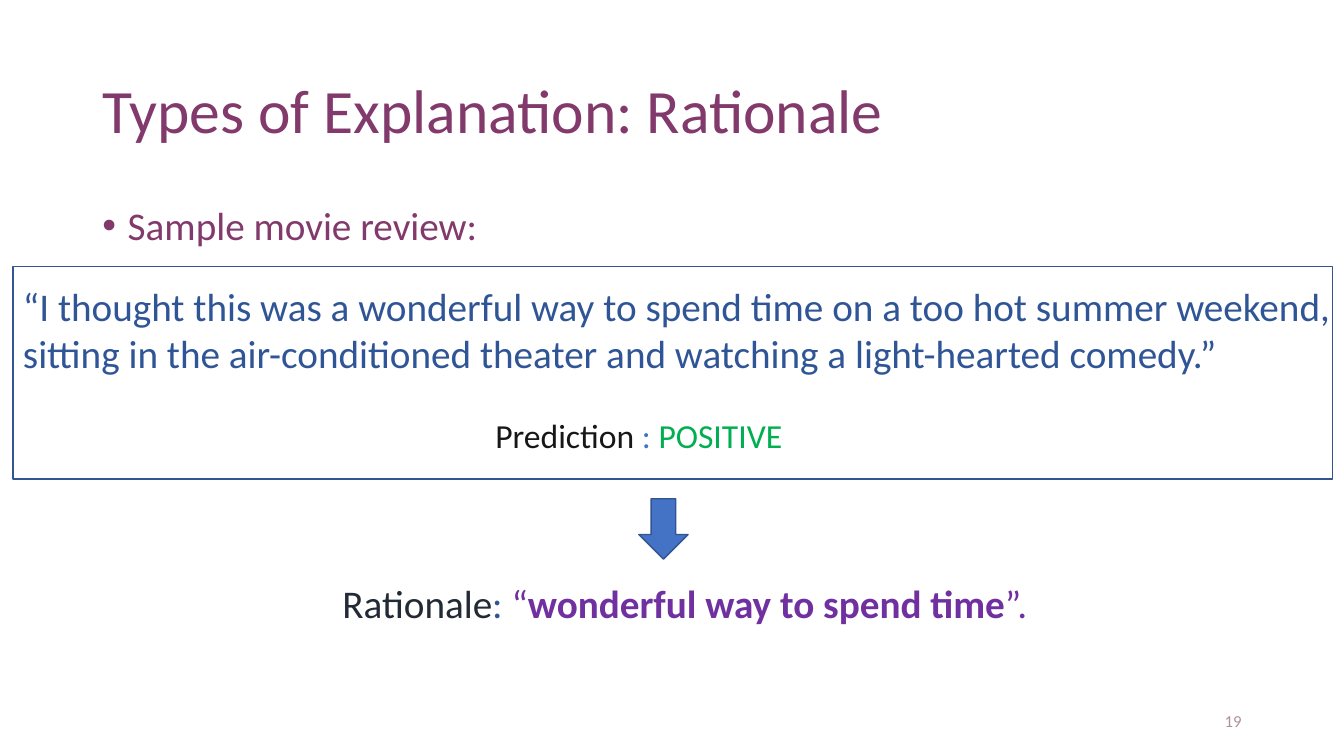
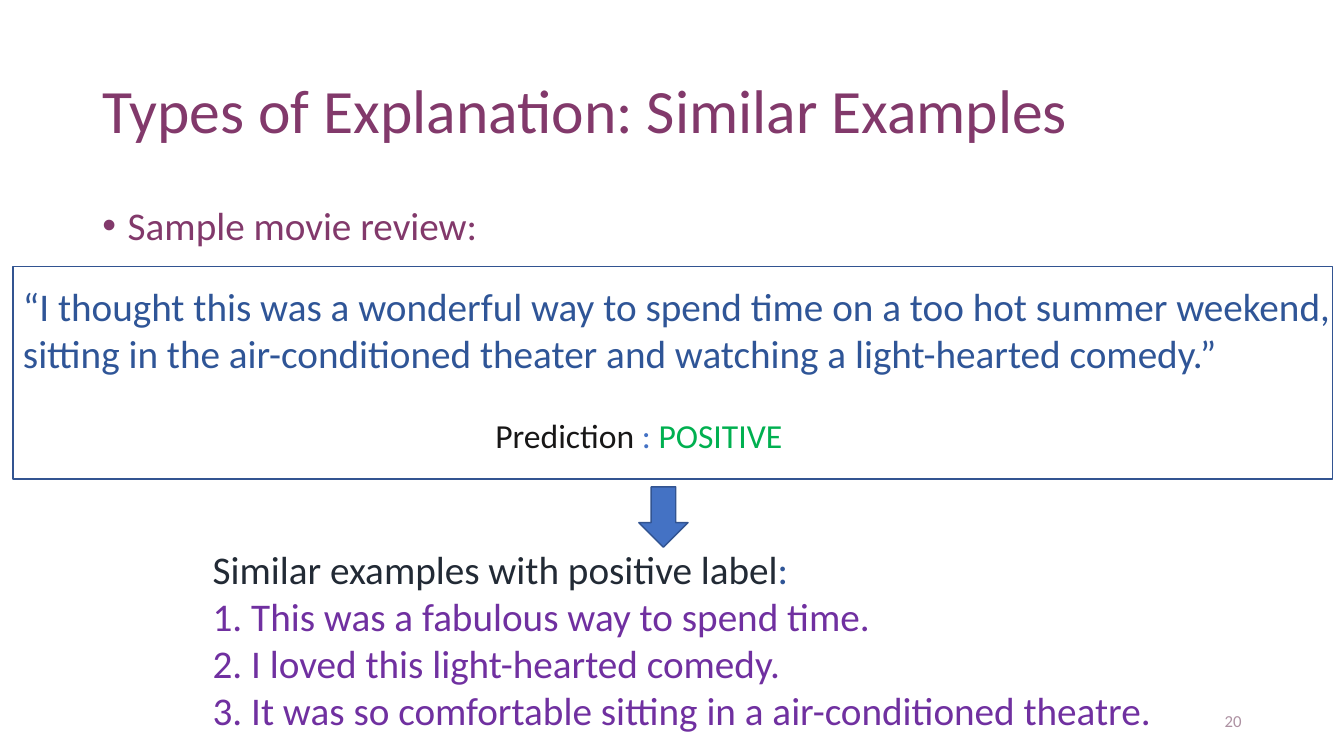
from lxml.etree import SubElement
from pptx import Presentation
from pptx.dml.color import RGBColor
from pptx.enum.shapes import MSO_SHAPE as Shape
from pptx.enum.text import MSO_ANCHOR as Anchor, MSO_AUTO_SIZE as AutoSize, PP_ALIGN as Align
from pptx.oxml.ns import qn
from pptx.util import Cm, Pt

# Shared style
FONT = "Calibri"
COLORS = {
    "plum": "82396B",
    "number": "AD91A2",
    "review": "2F5597",
    "label": "222A35",
    "purple": "7030A0",
    "ink": "181717",
    "blue": "4472C4",
    "outline": "325491",
    "positive": "00B050",
}

REVIEW = [
    [("“I thought this was a wonderful way to spend time on a too hot summer weekend,", "review")],
    [("sitting in the air-conditioned theater and watching a light-hearted comedy.”", "review")],
]
PREDICTION = [[("Prediction", "ink"), (" : ", "blue"), ("POSITIVE", "positive")]]
RATIONALE = [[
    ("Rationale", "label"),
    (": ", "review"),
    ("“", "purple"),
    ("wonderful way to spend time", "purple", True),
    ("”.", "purple"),
]]
SIMILAR_EXAMPLES = [
    [("Similar examples with positive label", "label"), (":", "review")],
    [("1. This was a fabulous way to spend time.", "purple")],
    [("2. I loved this light-hearted comedy.", "purple")],
    [("3. It was so comfortable sitting in a air-conditioned theatre.", "purple")],
]


def color(name):
    return RGBColor.from_string(COLORS[name])


def add_text(shapes, box, paragraphs, size=28, align=Align.LEFT, anchor=Anchor.TOP,
             wrap=True, spacing=None, bullet=False):
    """Each paragraph is a list of runs: (text, colour name[, bold])."""
    frame = shapes.add_textbox(*map(Cm, box)).text_frame
    frame.word_wrap = wrap
    frame.auto_size = AutoSize.NONE if wrap else AutoSize.SHAPE_TO_FIT_TEXT
    frame.vertical_anchor = anchor
    for index, runs in enumerate(paragraphs):
        paragraph = frame.add_paragraph() if index else frame.paragraphs[0]
        paragraph.alignment = align
        paragraph.line_spacing = spacing
        if bullet:
            add_bullet(paragraph)
        for text, color_name, *bold in runs:
            run = paragraph.add_run()
            run.text = text
            run.font.name = FONT
            run.font.size = Pt(size)
            run.font.bold = bool(bold)
            run.font.color.rgb = color(color_name)


def add_bullet(paragraph):
    properties = paragraph._p.get_or_add_pPr()
    properties.set("marL", str(Cm(0.64)))
    properties.set("indent", str(-Cm(0.64)))
    SubElement(properties, qn("a:buFont"), typeface="Arial")
    SubElement(properties, qn("a:buChar"), char="•")


def add_outlined(slide, preset, box, fill=None):
    shape = slide.shapes.add_shape(preset, *map(Cm, box))
    shape.shadow.inherit = False
    if fill:
        shape.fill.solid()
        shape.fill.fore_color.rgb = color(fill)
    else:
        shape.fill.background()
    shape.line.color.rgb = color("outline")
    shape.line.width = Pt(1)


def add_explanation_slide(prs, number, kind, explanation, explanation_box, arrow_top):
    slide = prs.slides.add_slide(prs.slide_layouts[6])

    # Title, lead-in and slide number
    add_text(slide.shapes, (2.33, 1.01, 29.21, 3.68),
             [[(f"Types of Explanation: {kind}", "plum")]],
             size=44, anchor=Anchor.MIDDLE, spacing=0.9)
    add_text(slide.shapes, (2.33, 5.07, 29.21, 1.5), [[("Sample movie review:", "plum")]],
             spacing=0.9, bullet=True)
    add_text(slide.shapes, (23.92, 17.65, 7.62, 1.01), [[(str(number), "number")]],
             size=12, align=Align.RIGHT, anchor=Anchor.MIDDLE)

    # Explanation of the prediction
    add_text(slide.shapes, explanation_box, explanation, wrap=False)

    # Review with its prediction, framed
    review_group = slide.shapes.add_group_shape()
    add_text(review_group.shapes, (0.33, 6.99, 33.5, 2.64), REVIEW, wrap=False)
    add_text(review_group.shapes, (12.19, 10.34, 7.82, 1.27), PREDICTION,
             size=24, align=Align.CENTER, wrap=False)
    add_outlined(slide, Shape.RECTANGLE, (0.33, 6.71, 33.25, 5.36))

    # Arrow from the review to the explanation
    add_outlined(slide, Shape.DOWN_ARROW, (16.1, arrow_top, 1.24, 1.52), fill="blue")


def main():
    prs = Presentation()
    prs.slide_width, prs.slide_height = Cm(33.87), Cm(19.05)
    add_explanation_slide(prs, 19, "Rationale", RATIONALE,
                          (8.38, 14.48, 17.98, 1.45), arrow_top=12.57)
    add_explanation_slide(prs, 20, "Similar Examples", SIMILAR_EXAMPLES,
                          (5.11, 13.61, 24.46, 5.05), arrow_top=12.27)
    prs.save("out.pptx")


if __name__ == "__main__":
    main()
